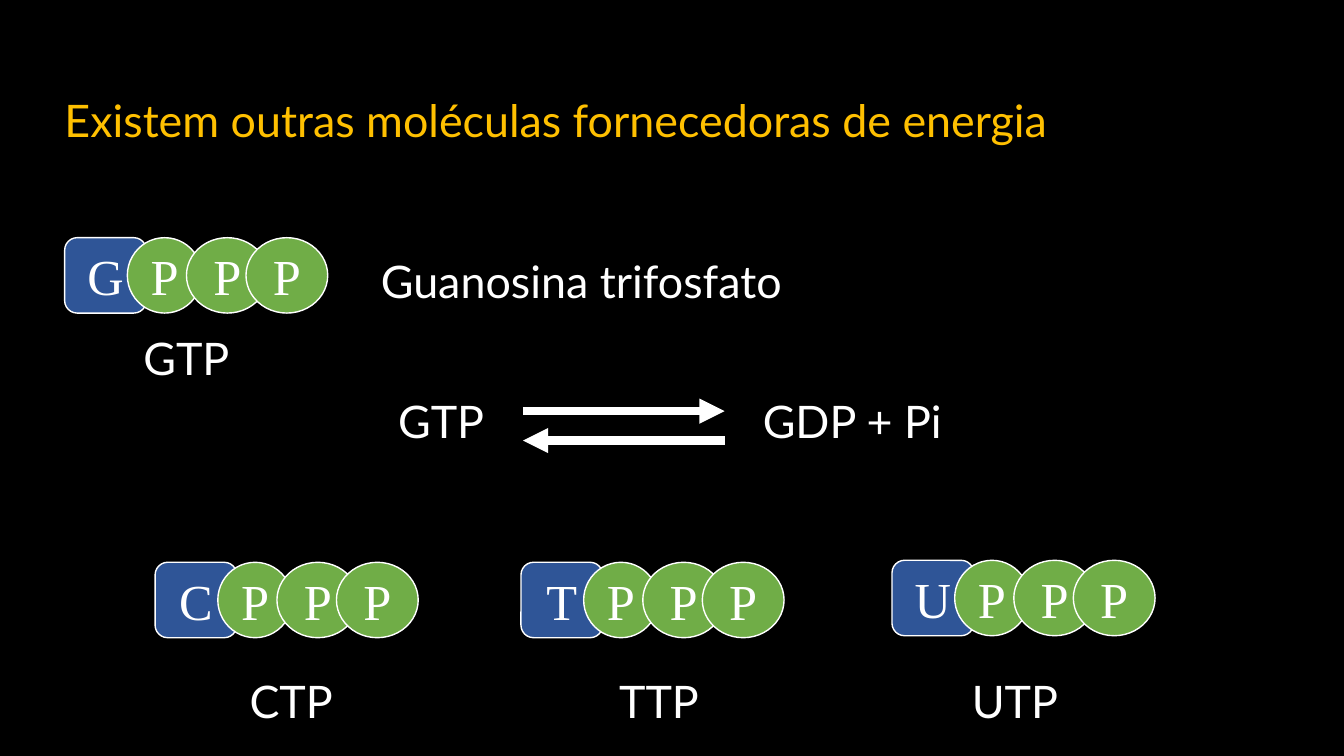
import pptx
import pptx.util
import pptx.dml.color
import pptx.enum.shapes
import pptx.enum.text
import pptx.oxml.ns
from lxml import etree

Cm, Pt = pptx.util.Cm, pptx.util.Pt
RGBColor = pptx.dml.color.RGBColor
SHAPE = pptx.enum.shapes.MSO_SHAPE
ALIGN = pptx.enum.text.PP_ALIGN
ANCHOR = pptx.enum.text.MSO_ANCHOR
qn = pptx.oxml.ns.qn

BLACK = RGBColor(0x00, 0x00, 0x00)
WHITE = RGBColor(0xFF, 0xFF, 0xFF)
GOLD = RGBColor(0xFF, 0xC0, 0x00)
BLUE = RGBColor(0x2F, 0x55, 0x97)
GREEN = RGBColor(0x70, 0xAD, 0x47)


def write(sp, text, font="Lato", size=32, color=WHITE, align=ALIGN.CENTER, anchor=ANCHOR.TOP):
    tf = sp.text_frame
    tf.word_wrap = True
    tf.auto_size = pptx.enum.text.MSO_AUTO_SIZE.NONE
    tf.vertical_anchor = anchor
    p = tf.paragraphs[0]
    p.alignment = align
    r = p.add_run()
    r.text = text
    r.font.name = font
    r.font.size = Pt(size)
    r.font.color.rgb = color


prs = pptx.Presentation()
prs.slide_width, prs.slide_height = Cm(33.87), Cm(19.05)
s = prs.slides.add_slide(prs.slide_layouts[5])
s.background.fill.solid()
s.background.fill.fore_color.rgb = BLACK

title = s.shapes.title
title.left, title.top, title.width, title.height = Cm(1.37), Cm(2.21), Cm(31.06), Cm(1.62)
write(title, "Existem outras moléculas fornecedoras de energia", color=GOLD, align=ALIGN.LEFT)

# Each molecule is a base followed by three overlapping phosphates
parts = [(0, 2.06), (1.58, 1.88), (3.07, 2.06), (4.57, 2.06)]
molecules = [("G", 1.63, 5.99), ("C", 3.91, 14.17), ("T", 13.13, 14.17), ("U", 22.48, 14.12)]
for base, left, top in molecules:
    group = s.shapes.add_group_shape()
    for letter, (offset, width) in zip(base + "PPP", parts):
        is_base = offset == 0
        kind = SHAPE.ROUNDED_RECTANGLE if is_base else SHAPE.OVAL
        sp = group.shapes.add_shape(kind, Cm(left + offset), Cm(top), Cm(width), Cm(1.9))
        sp.shadow.inherit = False
        sp.fill.solid()
        sp.fill.fore_color.rgb = BLUE if is_base else GREEN
        sp.line.color.rgb = WHITE
        sp.line.width = Pt(1)
        write(sp, letter, font="Times New Roman", size=36, anchor=ANCHOR.MIDDLE)

labels = [
    ("Guanosina trifosfato", 9.35, 6.27, 20.45, ALIGN.LEFT),
    ("GTP", 2.67, 8.2, 4.06, ALIGN.CENTER),
    ("CTP", 5.31, 16.84, 4.06, ALIGN.CENTER),
    ("TTP", 14.58, 16.84, 4.06, ALIGN.CENTER),
    ("UTP", 23.55, 16.84, 4.06, ALIGN.CENTER),
    ("GTP", 9.09, 9.8, 4.06, ALIGN.CENTER),
    ("GDP + Pi", 18.42, 9.8, 6.12, ALIGN.CENTER),
]
for text, left, top, width, align in labels:
    write(s.shapes.add_textbox(Cm(left), Cm(top), Cm(width), Cm(1.62)), text, align=align)

for start, end, y in [(13.18, 18.26, 10.36), (18.26, 13.18, 11.1)]:
    arrow = s.shapes.add_connector(
        pptx.enum.shapes.MSO_CONNECTOR.STRAIGHT, Cm(start), Cm(y), Cm(end), Cm(y))
    arrow.line.color.rgb = WHITE
    arrow.line.width = Pt(6)
    etree.SubElement(arrow.line._get_or_add_ln(), qn("a:tailEnd"), type="triangle")
    etree.SubElement(arrow._element.spPr, qn("a:effectLst"))

prs.save("out.pptx")
